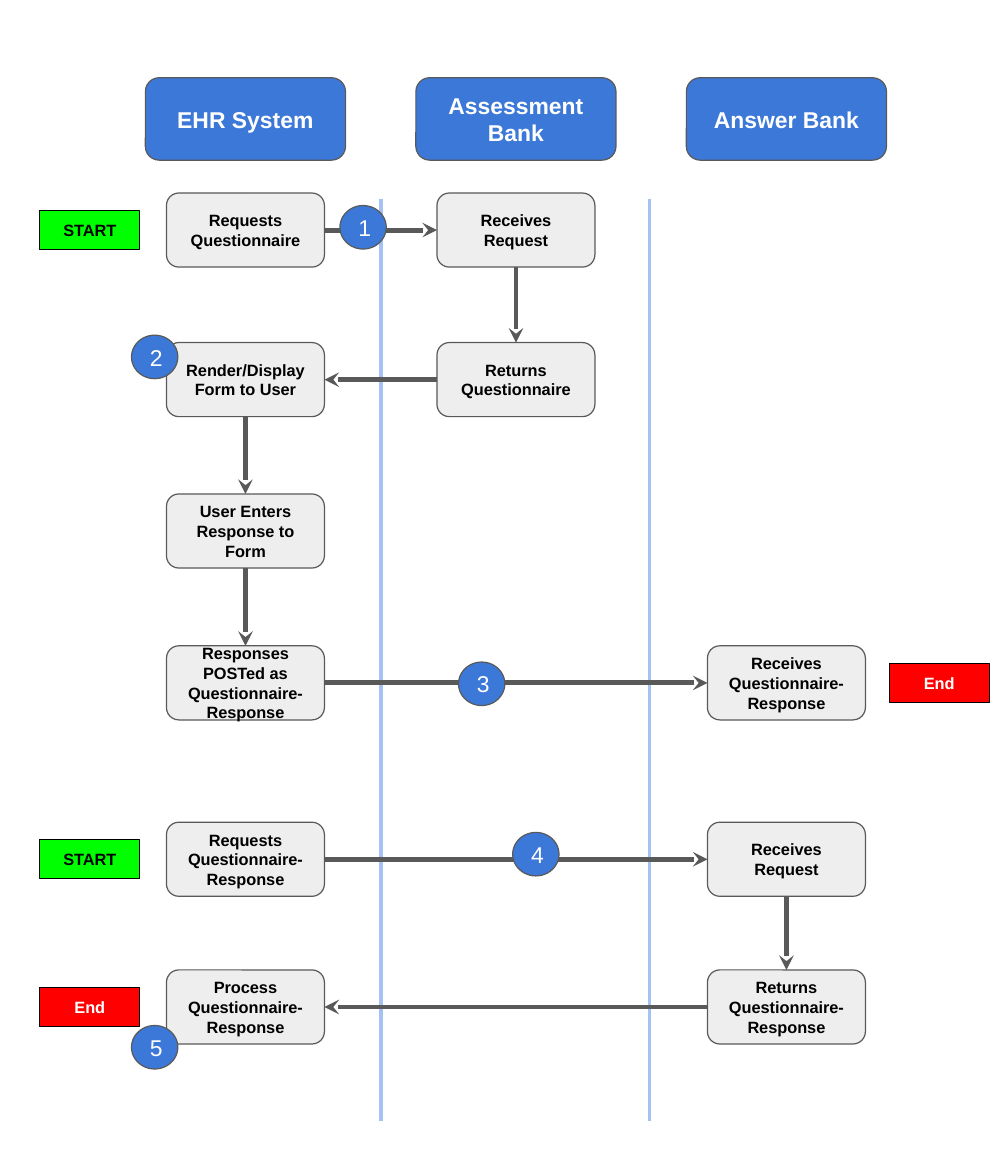
from lxml.etree import SubElement
from pptx import Presentation
from pptx.dml.color import RGBColor
from pptx.enum.shapes import MSO_CONNECTOR, MSO_SHAPE
from pptx.enum.text import MSO_ANCHOR, PP_ALIGN
from pptx.oxml.ns import qn
from pptx.util import Cm, Pt

BLUE, PALE_BLUE, GRAY, DARK = "3C78D8", "A4C2F4", "EEEEEE", "595959"
GREEN, RED, BLACK, WHITE = "00FF00", "FF0000", "000000", "FFFFFF"
TOP, LEFT, BOTTOM, RIGHT = range(4)
COLUMNS = [5.3 + 5.84 * index for index in range(3)]
ROWS = [4.97, 8.2, 11.47, 14.75, 18.56, 21.75]
START_X, END_X = 1.94, 20.28

HEADERS = ["EHR System", "Assessment Bank", "Answer Bank"]
STEPS = {
    (0, 0): "Requests Questionnaire",
    (1, 0): "Receives\nRequest",
    (1, 1): "Returns\nQuestionnaire",
    (0, 1): "Render/Display Form to User",
    (0, 2): "User Enters Response to Form",
    (0, 3): "Responses POSTed as Questionnaire- Response",
    (2, 3): "Receives Questionnaire- Response",
    (0, 4): "Requests Questionnaire- Response",
    (2, 4): "Receives Request",
    (2, 5): "Returns\nQuestionnaire-\nResponse",
    (0, 5): "Process Questionnaire- Response",
}
FLOWS = [
    ((0, 0), RIGHT, (1, 0), LEFT),
    ((1, 0), BOTTOM, (1, 1), TOP),
    ((1, 1), LEFT, (0, 1), RIGHT),
    ((0, 1), BOTTOM, (0, 2), TOP),
    ((0, 2), BOTTOM, (0, 3), TOP),
    ((0, 3), RIGHT, (2, 3), LEFT),
    ((0, 4), RIGHT, (2, 4), LEFT),
    ((2, 4), BOTTOM, (2, 5), TOP),
    ((2, 5), LEFT, (0, 5), RIGHT),
]
MARKERS = [(7.84, 4.91), (3.34, 7.71), (10.4, 14.77), (11.57, 18.45), (3.34, 22.62)]


def color(value):
    """Turn a hex string into a colour."""
    return RGBColor.from_string(value)


class Flowchart:
    """Holds the style and the current slide of a swimlane flowchart."""

    font = "Arial"
    inset = Cm(0.25)

    def __init__(self, page):
        """Keep the slide to draw on."""
        self.page = page

    def box(self, kind, center, size, text, fill, line, ink, points, bold=True, align=PP_ALIGN.CENTER):
        """Draw a filled shape with text around a centre point."""
        (x, y), (width, height) = center, size
        shape = self.page.shapes.add_shape(
            kind, Cm(x - width / 2), Cm(y - height / 2), Cm(width), Cm(height))
        shape.shadow.inherit = False
        shape.fill.solid()
        shape.fill.fore_color.rgb = color(fill)
        shape.line.color.rgb = color(line)
        shape.line.width = Pt(0.75)
        frame = shape.text_frame
        frame.text = text
        frame.word_wrap = True
        frame.vertical_anchor = MSO_ANCHOR.MIDDLE
        frame.margin_left = frame.margin_right = self.inset
        frame.margin_top = frame.margin_bottom = self.inset
        for para in frame.paragraphs:
            para.alignment = align
            for span in para.runs:
                span.font.name = self.font
                span.font.size = Pt(points)
                span.font.bold = bold
                span.font.color.rgb = color(ink)
        return shape

    def header(self, center, text):
        """Draw the heading of a lane."""
        self.box(MSO_SHAPE.ROUNDED_RECTANGLE, center, (4.32, 1.78), text, BLUE, DARK, WHITE, 14)

    def step(self, center, text):
        """Draw a process step."""
        return self.box(MSO_SHAPE.ROUNDED_RECTANGLE, center, (3.41, 1.6), text, GRAY, DARK, BLACK, 10)

    def tag(self, center, text, fill, ink):
        """Draw a start or end tag."""
        self.box(MSO_SHAPE.RECTANGLE, center, (2.16, 0.84), text, fill, BLACK, ink, 10)

    def marker(self, center, number):
        """Draw a numbered circle."""
        self.box(MSO_SHAPE.OVAL, center, (1, 0.94), str(number), BLUE, DARK, WHITE, 14,
                 bold=False, align=PP_ALIGN.LEFT)

    def line(self, start, end, hue, points):
        """Draw a straight line without a shadow."""
        line = self.page.shapes.add_connector(
            MSO_CONNECTOR.STRAIGHT, *(Cm(value) for value in (*start, *end)))
        line.line.color.rgb = color(hue)
        line.line.width = Pt(points)
        SubElement(line.element.spPr, qn("a:effectLst"))
        return line

    def arrow(self, source, source_site, target, target_site):
        """Join two steps with an arrow."""
        arrow = self.line((0, 0), (0, 0), DARK, 3)
        arrow.begin_connect(source, source_site)
        arrow.end_connect(target, target_site)
        SubElement(arrow.line._get_or_add_ln(), qn("a:tailEnd"), type="stealth")


def main():
    """Build the slide and save it."""
    deck = Presentation()
    deck.slide_width, deck.slide_height = Cm(21.59), Cm(25.4)
    chart = Flowchart(deck.slides.add_slide(deck.slide_layouts[6]))

    for x, text in zip(COLUMNS, HEADERS):
        chart.header((x, 2.57), text)
    for x in (8.23, 14.02):
        chart.line((x, 4.29), (x, 24.21), PALE_BLUE, 2.25)

    steps = {(column, row): chart.step((COLUMNS[column], ROWS[row]), text)
             for (column, row), text in STEPS.items()}
    for source, source_site, target, target_site in FLOWS:
        chart.arrow(steps[source], source_site, steps[target], target_site)

    for row in (0, 4):
        chart.tag((START_X, ROWS[row]), "START", GREEN, BLACK)
    for x, row in ((END_X, 3), (START_X, 5)):
        chart.tag((x, ROWS[row]), "End", RED, WHITE)
    for number, center in enumerate(MARKERS, 1):
        chart.marker(center, number)

    deck.save("out.pptx")


if __name__ == "__main__":
    main()
